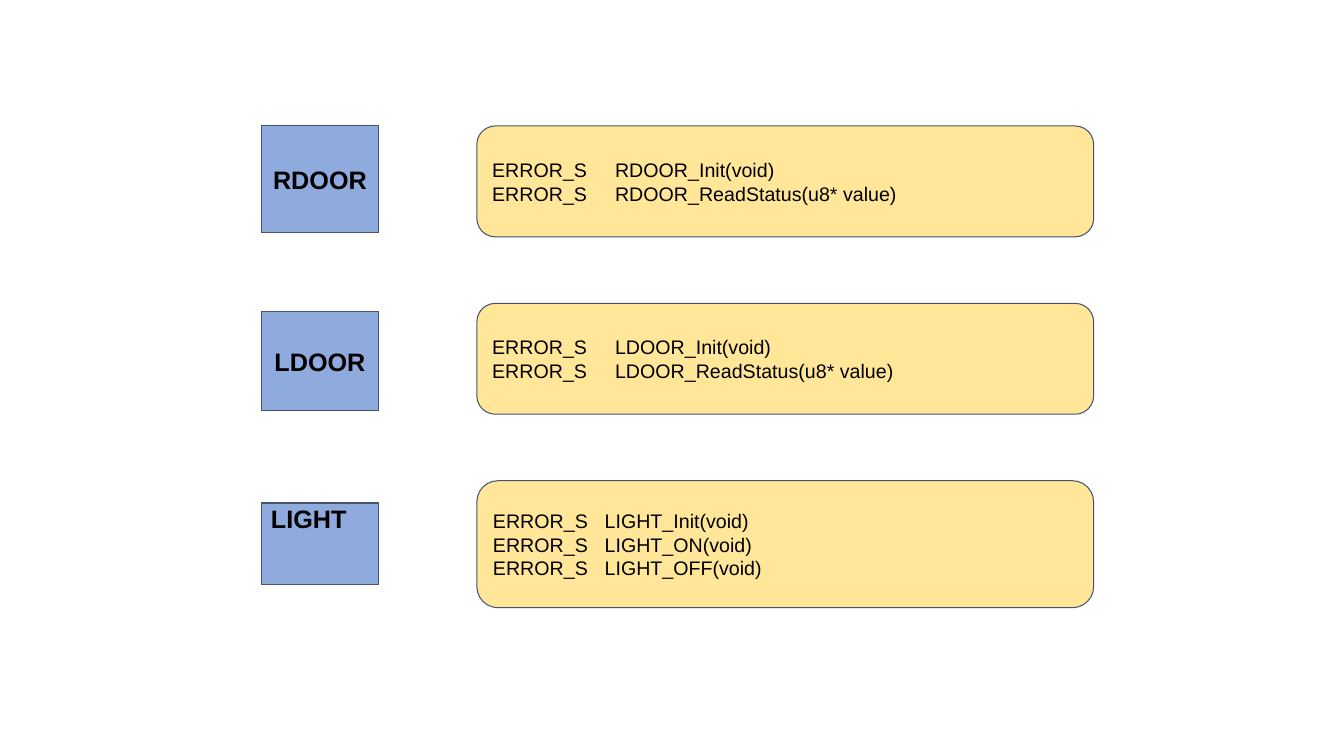
from lxml import etree
from pptx import Presentation
from pptx.dml.color import RGBColor
from pptx.enum.shapes import MSO_SHAPE
from pptx.enum.text import MSO_ANCHOR, PP_ALIGN
from pptx.oxml.ns import qn
from pptx.util import Pt

RECT, ROUNDED = MSO_SHAPE.RECTANGLE, MSO_SHAPE.ROUNDED_RECTANGLE
TOP, MIDDLE = MSO_ANCHOR.TOP, MSO_ANCHOR.MIDDLE
LEFT, CENTER = PP_ALIGN.LEFT, PP_ALIGN.CENTER

COLORS = {"module": "8FAADC", "api": "FFE699", "outline": "44546A", "text": "000000"}
INSET = 7.2
MODULE_LEFT, MODULE_WIDTH = 186.5, 84.2
API_LEFT, API_WIDTH = 340.6, 440.6
FIRST_TOP, ROW_PITCH = 90, 126.7

# module, its box top and height, its anchor, API height, tab stop, functions
MODULES = [
    ("RDOOR", 90, 76.3, MIDDLE, 79.2, 87.8, ["Init(void)", "ReadStatus(u8* value)"]),
    ("LDOOR", 222.5, 70.6, MIDDLE, 79.2, 87.8, ["Init(void)", "ReadStatus(u8* value)"]),
    ("LIGHT", 359.3, 58.3, TOP, 90.7, 79.8, ["Init(void)", "ON(void)", "OFF(void)"]),
]


class DriverSlide:
    """Holds the slide and the style shared by its elements."""

    font = "Arial"

    def __init__(self, slide):
        """Keep the slide to draw on."""
        self.slide = slide

    def panel(self, kind, bounds, color, anchor=MIDDLE):
        """Add an outlined shape and return it."""
        panel = self.slide.shapes.add_shape(kind, *map(Pt, bounds))
        panel.shadow.inherit = False
        panel.fill.solid()
        panel.fill.fore_color.rgb = RGBColor.from_string(COLORS[color])
        panel.line.color.rgb = RGBColor.from_string(COLORS["outline"])
        panel.line.width = Pt(0.75)
        frame = panel.text_frame
        frame.word_wrap = True
        frame.vertical_anchor = anchor
        frame.margin_left = frame.margin_right = Pt(INSET)
        frame.margin_top = frame.margin_bottom = Pt(0 if anchor == TOP else INSET)
        return panel

    def add_text(self, paragraph, text, size, align=LEFT, bold=False):
        """Add one styled run to a paragraph."""
        paragraph.alignment = align
        run = paragraph.add_run()
        run.text = text
        run.font.name = self.font
        run.font.size = Pt(size)
        run.font.bold = bold
        run.font.color.rgb = RGBColor.from_string(COLORS["text"])

    def module(self, name, top, height, anchor):
        """Add the box that names a module."""
        bounds = (MODULE_LEFT, top, MODULE_WIDTH, height)
        box = self.panel(RECT, bounds, "module", anchor)
        align = LEFT if anchor == TOP else CENTER
        self.add_text(box.text_frame.paragraphs[0], name, 18, align, bold=True)

    def api(self, name, top, height, tab, functions):
        """Add the panel that lists a module's functions."""
        bounds = (API_LEFT, top, API_WIDTH, height)
        frame = self.panel(ROUNDED, bounds, "api").text_frame
        for index, function in enumerate(functions):
            line = frame.add_paragraph() if index else frame.paragraphs[0]
            self.add_text(line, f"ERROR_S\t{name}_{function}", 14)
            stops = etree.SubElement(line._p.get_or_add_pPr(), qn("a:tabLst"))
            etree.SubElement(stops, qn("a:tab"), pos=str(Pt(tab)), algn="l")


def main():
    """Build the slide and save it."""
    deck = Presentation()
    deck.slide_width, deck.slide_height = Pt(960), Pt(540)
    drivers = DriverSlide(deck.slides.add_slide(deck.slide_layouts[6]))
    for row, (name, top, height, anchor, api_height, tab, functions) in enumerate(MODULES):
        drivers.module(name, top, height, anchor)
        drivers.api(name, FIRST_TOP + row * ROW_PITCH, api_height, tab, functions)
    deck.save("out.pptx")


main()
